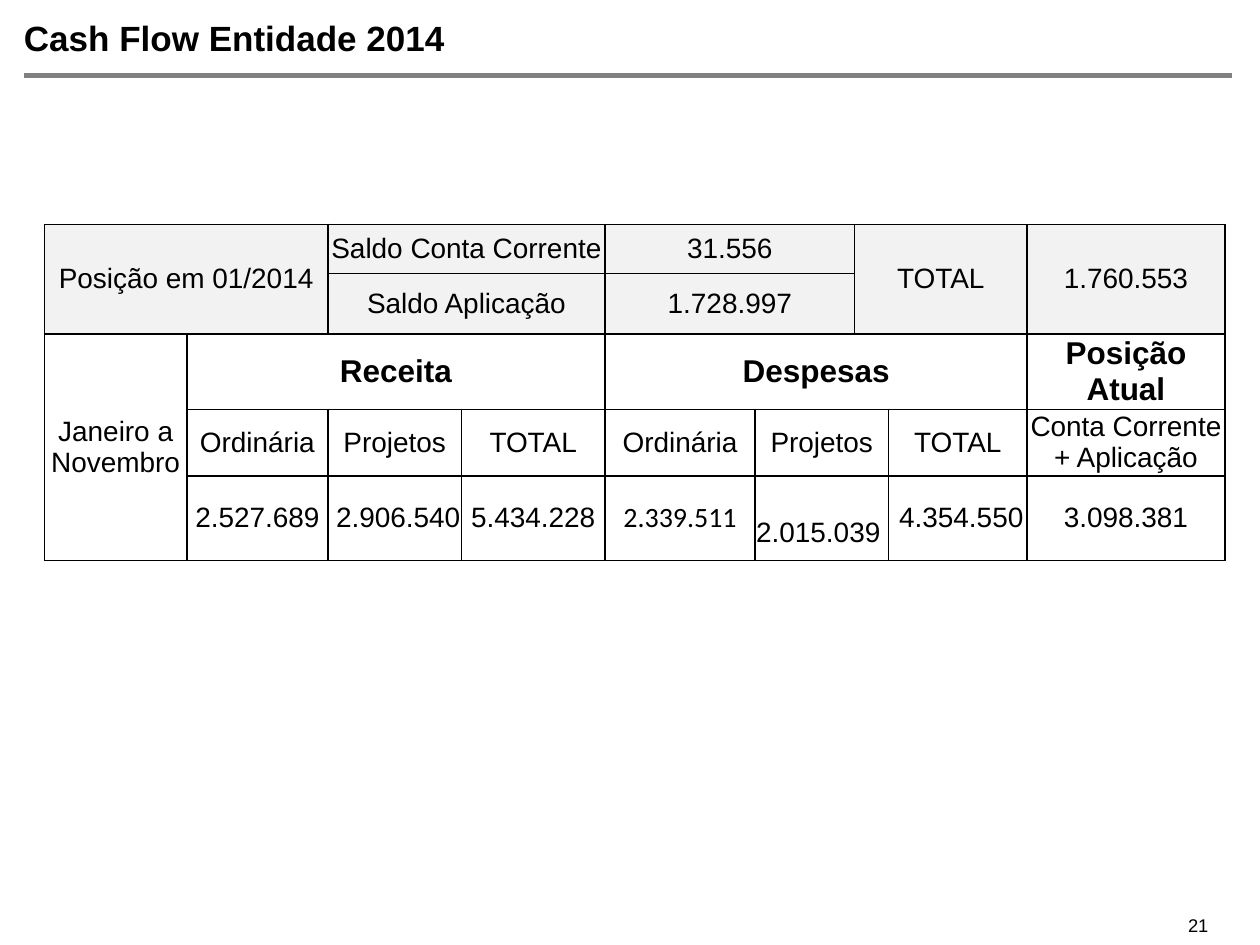
from dataclasses import dataclass

from lxml import etree
from pptx import Presentation
from pptx.dml.color import RGBColor
from pptx.enum.shapes import MSO_CONNECTOR
from pptx.enum.text import MSO_ANCHOR, MSO_AUTO_SIZE, PP_ALIGN
from pptx.oxml.ns import qn
from pptx.util import Pt

LEFT, CENTER = PP_ALIGN.LEFT, PP_ALIGN.CENTER
TOP, MIDDLE = MSO_ANCHOR.TOP, MSO_ANCHOR.MIDDLE
STRAIGHT = MSO_CONNECTOR.STRAIGHT
NO_AUTOFIT = MSO_AUTO_SIZE.NONE
TITLE_ONLY = 5


@dataclass(frozen=True)
class Theme:
    font: str = "Arial"
    alt_font: str = "Calibri"
    text: str = "000000"
    rule: str = "808080"
    border: str = "000000"
    shade: str = "F2F2F2"
    title: float = 20
    heading: float = 18
    body: float = 16
    number: float = 10.5


THEME = Theme()

COL_WIDTHS = [81.4, 80.6, 76.3, 82.1, 85.7, 56.9, 19.4, 79.2, 113]
ROW_HEIGHTS = [28.1, 34.6, 43, 38.2, 48.2]

# Row, column, row span, column span, text, format
SHADED = dict(fill=THEME.shade)
HEADING = dict(size=THEME.heading, bold=True)
CELLS = [
    # Opening position
    (0, 0, 2, 2, "Posição em 01/2014", SHADED),
    (0, 2, 1, 2, "Saldo Conta Corrente", SHADED),
    (0, 4, 1, 2, "31.556", SHADED),
    (0, 6, 2, 2, "TOTAL", SHADED),
    (0, 8, 2, 1, "1.760.553", SHADED),
    (1, 2, 1, 2, "Saldo Aplicação", SHADED),
    (1, 4, 1, 2, "1.728.997", SHADED),
    # Group headings
    (2, 0, 3, 1, "Janeiro a Novembro", {}),
    (2, 1, 1, 3, "Receita", HEADING),
    (2, 4, 1, 4, "Despesas", HEADING),
    (2, 8, 1, 1, "Posição Atual", HEADING),
    # Column headings
    (3, 1, 1, 1, "Ordinária", {}),
    (3, 2, 1, 1, "Projetos", {}),
    (3, 3, 1, 1, "TOTAL", {}),
    (3, 4, 1, 1, "Ordinária", {}),
    (3, 5, 1, 2, "Projetos", {}),
    (3, 7, 1, 1, "TOTAL", {}),
    (3, 8, 1, 1, "Conta Corrente + Aplicação", {}),
    # Amounts
    (4, 1, 1, 1, "2.527.689", {}),
    (4, 2, 1, 1, "2.906.540", dict(margins=(4, 0, 0, 0))),
    (4, 3, 1, 1, "5.434.228", {}),
    (4, 4, 1, 1, "2.339.511", dict(font=THEME.alt_font)),
    (4, 5, 1, 2, "2.015.039", dict(margins=(0, 17, 4, 0))),
    (4, 7, 1, 1, "4.354.550", dict(margins=(4, 0, 0, 0))),
    (4, 8, 1, 1, "3.098.381", {}),
]


def set_text(tf, text, size=THEME.body, bold=False, font=THEME.font, align=LEFT):
    p = tf.paragraphs[0]
    p.alignment = align
    r = p.add_run()
    r.text = text
    r.font.name = font
    r.font.size = Pt(size)
    r.font.bold = bold
    r.font.color.rgb = RGBColor.from_string(THEME.text)


def set_margins(box, left=0, top=0, right=0, bottom=0):
    box.margin_left, box.margin_top = Pt(left), Pt(top)
    box.margin_right, box.margin_bottom = Pt(right), Pt(bottom)


def add_title(slide, text):
    sp = slide.shapes.title
    sp.left, sp.top, sp.width, sp.height = Pt(13.7), Pt(9.4), Pt(300), Pt(55.4)
    tf = sp.text_frame
    tf.auto_size = NO_AUTOFIT
    tf.word_wrap = True
    tf.vertical_anchor = TOP
    set_margins(tf)
    set_text(tf, text, size=THEME.title, bold=True)


def add_rule(slide):
    line = slide.shapes.add_connector(STRAIGHT, Pt(13.7), Pt(43.2), Pt(704.2), Pt(43.2))
    line.line.color.rgb = RGBColor.from_string(THEME.rule)
    line.line.width = Pt(3.2)
    etree.SubElement(line._element.spPr, qn("a:effectLst"))


def add_borders(cell):
    tc_pr = cell._tc.get_or_add_tcPr()
    for side in ("lnL", "lnR", "lnT", "lnB"):
        ln = etree.SubElement(tc_pr, qn(f"a:{side}"), w=str(Pt(1)))
        fill = etree.SubElement(ln, qn("a:solidFill"))
        etree.SubElement(fill, qn("a:srgbClr"), val=THEME.border)


def fill_cell(cell, text, fill=None, margins=(0, 0, 0, 0), **text_format):
    cell.vertical_anchor = MIDDLE
    set_margins(cell, *margins)
    set_text(cell.text_frame, text, align=CENTER, **text_format)
    if fill:
        cell.fill.solid()
        cell.fill.fore_color.rgb = RGBColor.from_string(fill)


def add_cash_table(slide):
    frame = slide.shapes.add_table(len(ROW_HEIGHTS), len(COL_WIDTHS), Pt(25.4), Pt(128.2),
                                   Pt(sum(COL_WIDTHS)), Pt(sum(ROW_HEIGHTS)))
    table = frame.table
    table.first_row = table.horz_banding = False
    for column, width in zip(table.columns, COL_WIDTHS):
        column.width = Pt(width)
    for row, height in zip(table.rows, ROW_HEIGHTS):
        row.height = Pt(height)
    for cell in table.iter_cells():
        add_borders(cell)
        cell.fill.background()
    for row, col, row_span, col_span, text, cell_format in CELLS:
        cell = table.cell(row, col)
        if row_span * col_span > 1:
            cell.merge(table.cell(row + row_span - 1, col + col_span - 1))
        fill_cell(cell, text, **cell_format)


def add_page_number(slide, text):
    sp = slide.shapes.add_textbox(Pt(671.8), Pt(519.1), Pt(48), Pt(20.9))
    sp.text_frame.word_wrap = True
    set_text(sp.text_frame, text, size=THEME.number)


def main():
    prs = Presentation()
    prs.slide_width, prs.slide_height = Pt(720), Pt(540)
    slide = prs.slides.add_slide(prs.slide_layouts[TITLE_ONLY])

    # Heading
    add_rule(slide)
    add_title(slide, "Cash Flow Entidade 2014")

    # Cash position
    add_cash_table(slide)

    # Footer
    add_page_number(slide, "21")
    prs.save("out.pptx")


if __name__ == "__main__":
    main()
